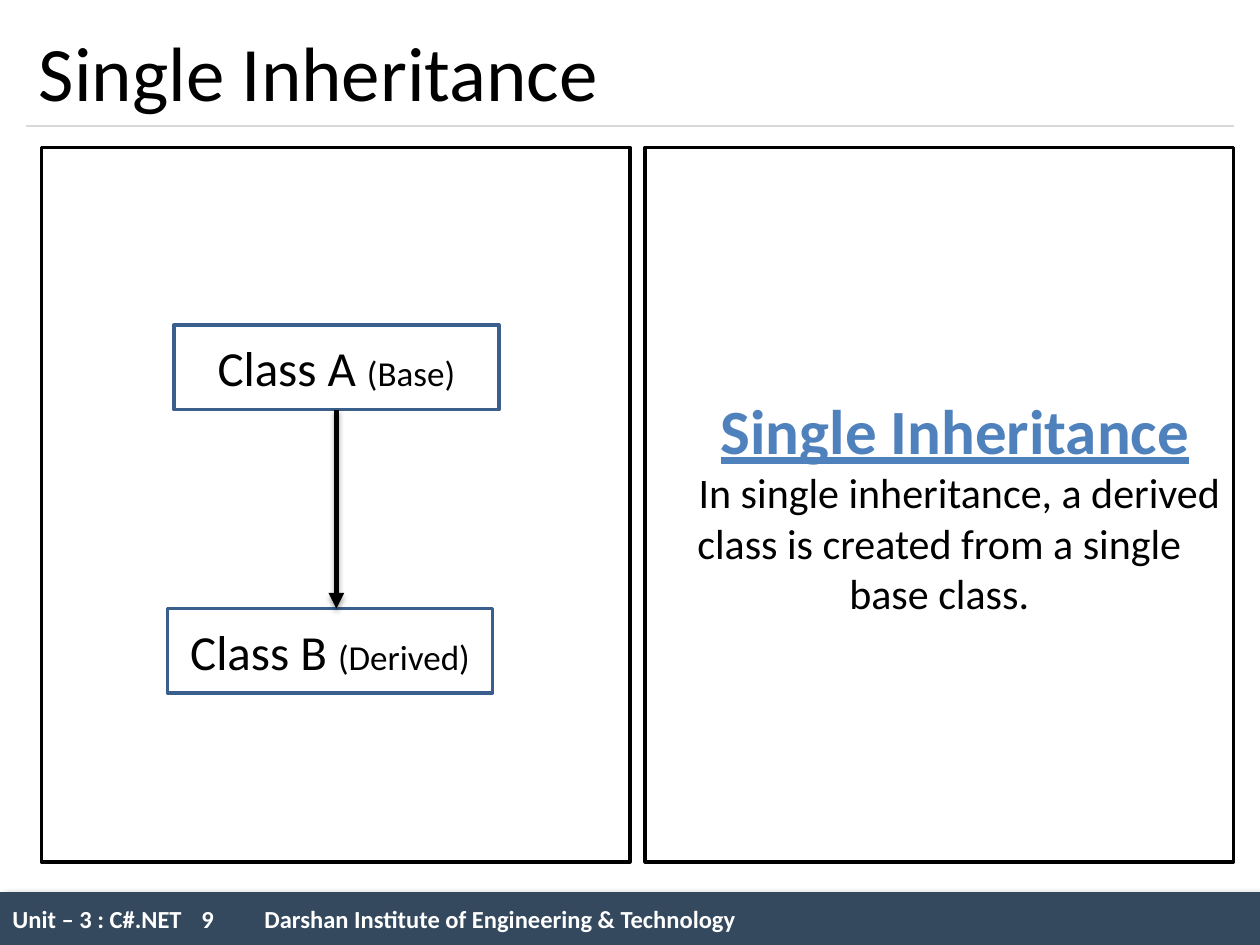
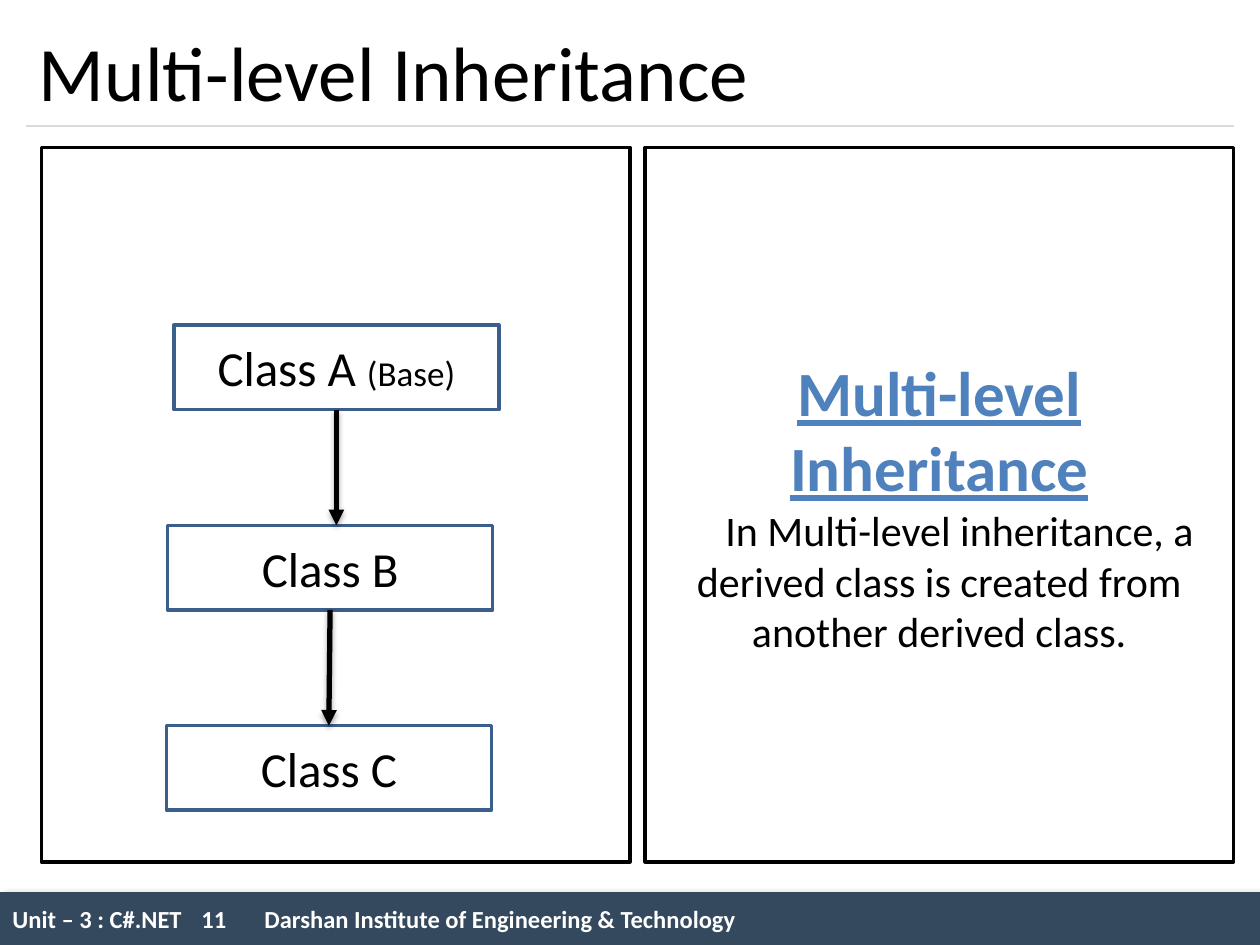
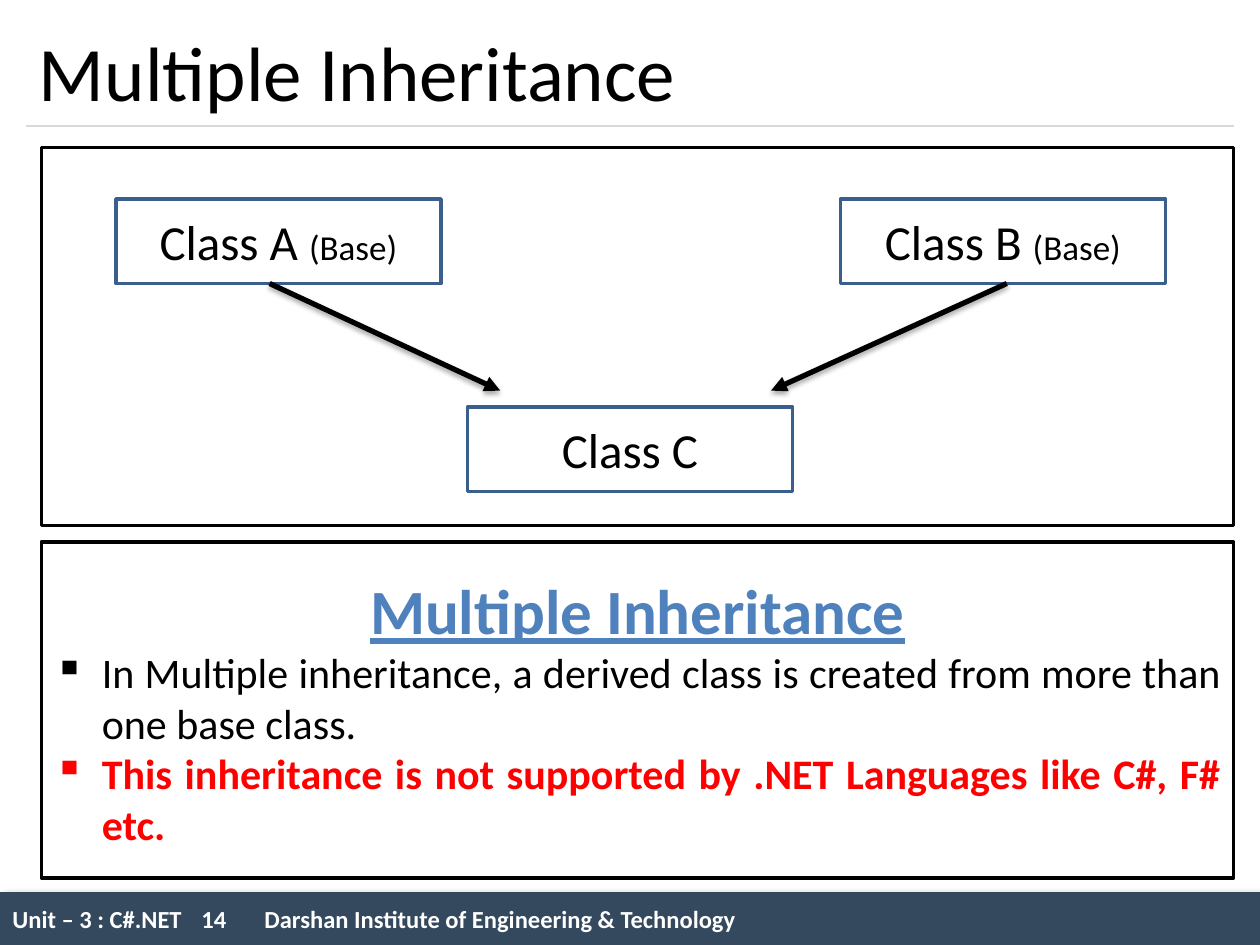
"""Build three slides on single, multi-level and multiple inheritance."""
from lxml import etree
from pptx import Presentation
from pptx import util as u
from pptx.dml.color import RGBColor
from pptx.enum import shapes, text
from pptx.oxml import ns

WHITE = RGBColor(0xFF, 0xFF, 0xFF)
BLACK = RGBColor(0x00, 0x00, 0x00)
SLATE = RGBColor(0x34, 0x49, 0x5E)
RULE_GREY = RGBColor(0xD9, 0xD9, 0xD9)
CLASS_EDGE = RGBColor(0x3A, 0x5F, 0x8C)
HEADING_BLUE = RGBColor(0x4F, 0x81, 0xBD)
WARNING_RED = RGBColor(0xFF, 0x00, 0x00)

FONT = "Calibri"
LEFT, CENTER, JUSTIFY = text.PP_ALIGN.LEFT, text.PP_ALIGN.CENTER, text.PP_ALIGN.JUSTIFY
UNIT = "Unit – 3 : C#.NET"
INSTITUTE = "Darshan Institute of Engineering & Technology"
FOOTER_TABS = [(4.88, "l"), (9.79, "r")]
CLASS_SIZE = (2.58, 0.67)
LEFT_PANEL, RIGHT_PANEL = (0.33, 1.17, 4.67, 5.67), (5.12, 1.17, 4.67, 5.67)
TOP_PANEL, BOTTOM_PANEL = (0.33, 1.17, 9.46, 3), (0.33, 4.3, 9.46, 2.67)


def add_text(slide, at, paragraphs, fill=None, edge=None):
    """Add a box whose paragraphs are dicts of runs and their format."""
    place = [u.Inches(length) for length in at]
    if fill is None:
        box = slide.shapes.add_textbox(*place)
    else:
        box = slide.shapes.add_shape(shapes.MSO_SHAPE.RECTANGLE, *place)
        box.shadow.inherit = False
        box.fill.solid()
        box.fill.fore_color.rgb = fill
        if edge is None:
            box.line.fill.background()
        else:
            box.line.color.rgb = edge
            box.line.width = u.Pt(2)
    frame = box.text_frame
    frame.word_wrap = True
    frame.vertical_anchor = text.MSO_ANCHOR.MIDDLE
    for index, content in enumerate(paragraphs):
        paragraph = frame.paragraphs[0] if index == 0 else frame.add_paragraph()
        paragraph.alignment = content.get("align", CENTER)
        properties = paragraph._p.get_or_add_pPr()
        properties.set("marL", str(u.Inches(content.get("margin", 0))))
        properties.set("indent", str(u.Inches(content.get("indent", 0))))
        if "bullet" in content:
            etree.SubElement(properties, ns.qn("a:buChar"), char=content["bullet"])
        if "tabs" in content:
            stops = etree.SubElement(properties, ns.qn("a:tabLst"))
            for position, side in content["tabs"]:
                etree.SubElement(stops, ns.qn("a:tab"), pos=str(u.Inches(position)), algn=side)
        for words, size in content["runs"]:
            run = paragraph.add_run()
            run.text = words
            run.font.name = FONT
            run.font.size = u.Pt(size)
            run.font.color.rgb = content.get("color", BLACK)
            run.font.bold = content.get("bold", False)
            run.font.underline = content.get("underline", False)
    return box


def add_shadow(shape, opacity, blur, distance, angle):
    """Give a shape or connector a black outer shadow."""
    properties = shape._element.spPr
    effects = properties.find(ns.qn("a:effectLst"))
    if effects is None:
        effects = etree.SubElement(properties, ns.qn("a:effectLst"))
    outer = etree.SubElement(effects, ns.qn("a:outerShdw"), blurRad=str(u.Pt(blur)),
                             dist=str(u.Pt(distance)), dir=str(angle * 60000), rotWithShape="0")
    black = etree.SubElement(outer, ns.qn("a:srgbClr"), val=str(BLACK))
    etree.SubElement(black, ns.qn("a:alpha"), val=str(opacity * 1000))


HEADING = dict(color=HEADING_BLUE, bold=True, underline=True)
BULLET = dict(align=JUSTIFY, margin=0.38, indent=-0.38, bullet="▪")

LESSONS = [
    dict(
        title="Single Inheritance", page=9, panels=(LEFT_PANEL, RIGHT_PANEL),
        explanation=[
            dict(HEADING, runs=[("Single Inheritance", 36)], indent=0.25),
            dict(runs=[("In single inheritance, a derived class is created "
                        "from a single base class.", 24)], indent=0.32),
        ],
        classes={"A": ("(Base)", 1.38, 2.58), "B": ("(Derived)", 1.33, 4.83)},
        arrows=[((2.67, 3.25), (2.67, 4.83), "A", None)],
    ),
    dict(
        title="Multi-level Inheritance", page=11, panels=(LEFT_PANEL, RIGHT_PANEL),
        explanation=[
            dict(HEADING, runs=[("Multi-level Inheritance", 36)]),
            dict(runs=[("In Multi-level inheritance, a derived class is created "
                        "from another derived class.", 24)], indent=0.32),
        ],
        classes={"A": ("(Base)", 1.38, 2.58), "B": ("", 1.33, 4.17), "C": ("", 1.32, 5.76)},
        arrows=[((2.67, 3.25), (2.67, 4.17), "A", None), ((2.62, 4.83), (2.62, 5.76), "B", "C")],
    ),
    dict(
        title="Multiple Inheritance", page=14, panels=(TOP_PANEL, BOTTOM_PANEL),
        explanation=[
            dict(HEADING, runs=[("Multiple Inheritance", 36)]),
            dict(BULLET, runs=[("In Multiple inheritance, a derived class is created "
                                "from more than one base class.", 24)]),
            dict(BULLET, runs=[("This inheritance is not supported by .NET Languages "
                                "like C#, F# etc.", 24)], color=WARNING_RED, bold=True),
        ],
        classes={"A": ("(Base)", 0.92, 1.58), "B": ("(Base)", 6.67, 1.58), "C": ("", 3.71, 3.23)},
        arrows=[((2.14, 2.25), (3.97, 3.1), None, None), ((7.99, 2.25), (6.12, 3.1), None, None)],
    ),
]

deck = Presentation()
deck.slide_width, deck.slide_height = u.Inches(10), u.Inches(7.5)

for lesson in LESSONS:
    slide = deck.slides.add_slide(deck.slide_layouts[6])

    footer = dict(runs=[(f"{UNIT}\t{lesson['page']}\t{INSTITUTE}", 14)],
                  align=LEFT, color=WHITE, bold=True, tabs=FOOTER_TABS)
    band = add_text(slide, (0, 7.08, 10, 0.42), [footer], fill=SLATE)
    add_shadow(band, 40, 4, 3, 45)

    title_rule = slide.shapes.add_connector(
        shapes.MSO_CONNECTOR.STRAIGHT, u.Inches(0.21), u.Inches(1), u.Inches(9.79), u.Inches(1))
    title_rule.line.color.rgb = RULE_GREY
    title_rule.line.width = u.Pt(0.75)
    etree.SubElement(title_rule._element.spPr, ns.qn("a:effectLst"))

    add_text(slide, (0.21, 0.12, 9.58, 0.88), [dict(runs=[(lesson["title"], 44)], align=LEFT)])

    diagram_panel, explanation_panel = lesson["panels"]
    add_text(slide, diagram_panel, [], fill=WHITE, edge=BLACK)
    add_text(slide, explanation_panel, lesson["explanation"], fill=WHITE, edge=BLACK)

    class_boxes = {}
    for letter, (role, left, top) in lesson["classes"].items():
        label = [(f"Class {letter} ", 28), (role, 20)] if role else [(f"Class {letter}", 28)]
        class_boxes[letter] = add_text(slide, (left, top, *CLASS_SIZE), [dict(runs=label)],
                                       fill=WHITE, edge=CLASS_EDGE)

    for start, end, parent, child in lesson["arrows"]:
        arrow = slide.shapes.add_connector(
            shapes.MSO_CONNECTOR.STRAIGHT, *[u.Inches(length) for length in start + end])
        if parent:
            arrow.begin_connect(class_boxes[parent], 2)
        if child:
            arrow.end_connect(class_boxes[child], 0)
        arrow.line.color.rgb = BLACK
        arrow.line.width = u.Pt(3)
        etree.SubElement(arrow.line._get_or_add_ln(), ns.qn("a:tailEnd"), type="triangle")
        add_shadow(arrow, 35, 3.1, 1.8, 90)

deck.save("out.pptx")
